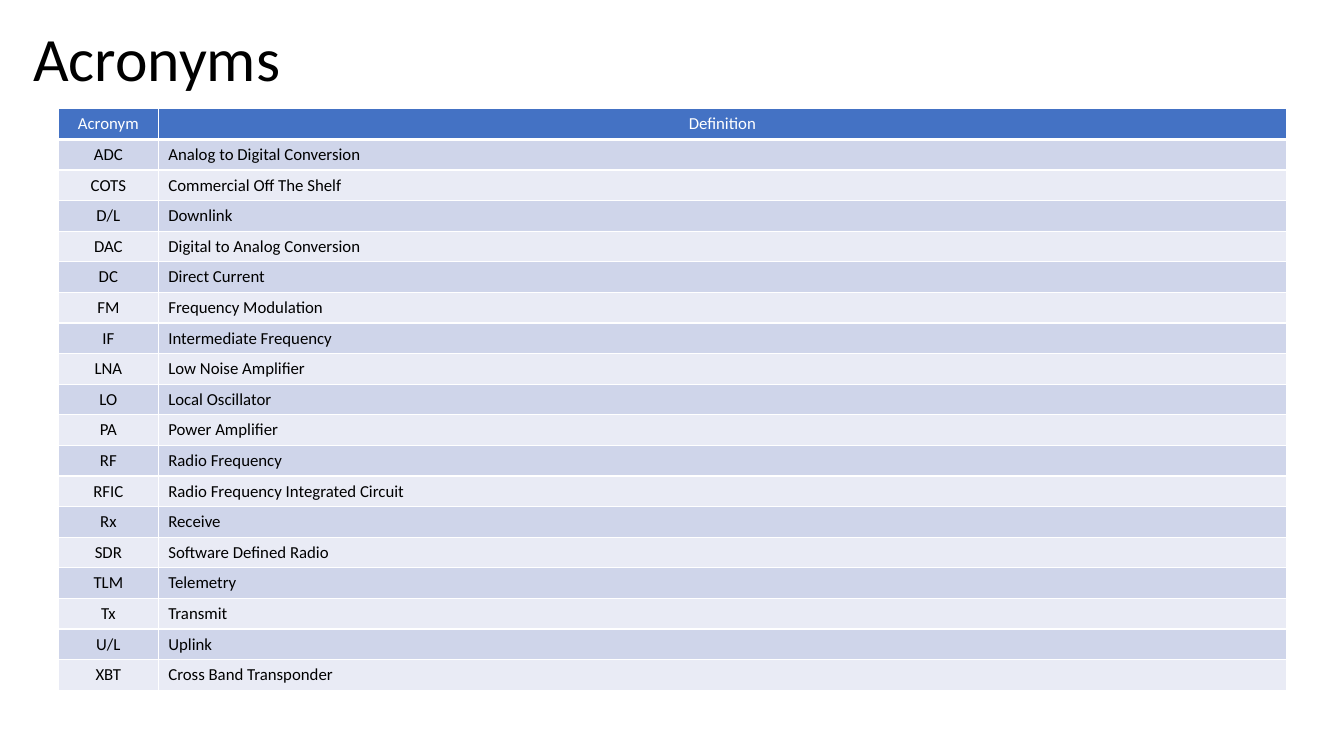
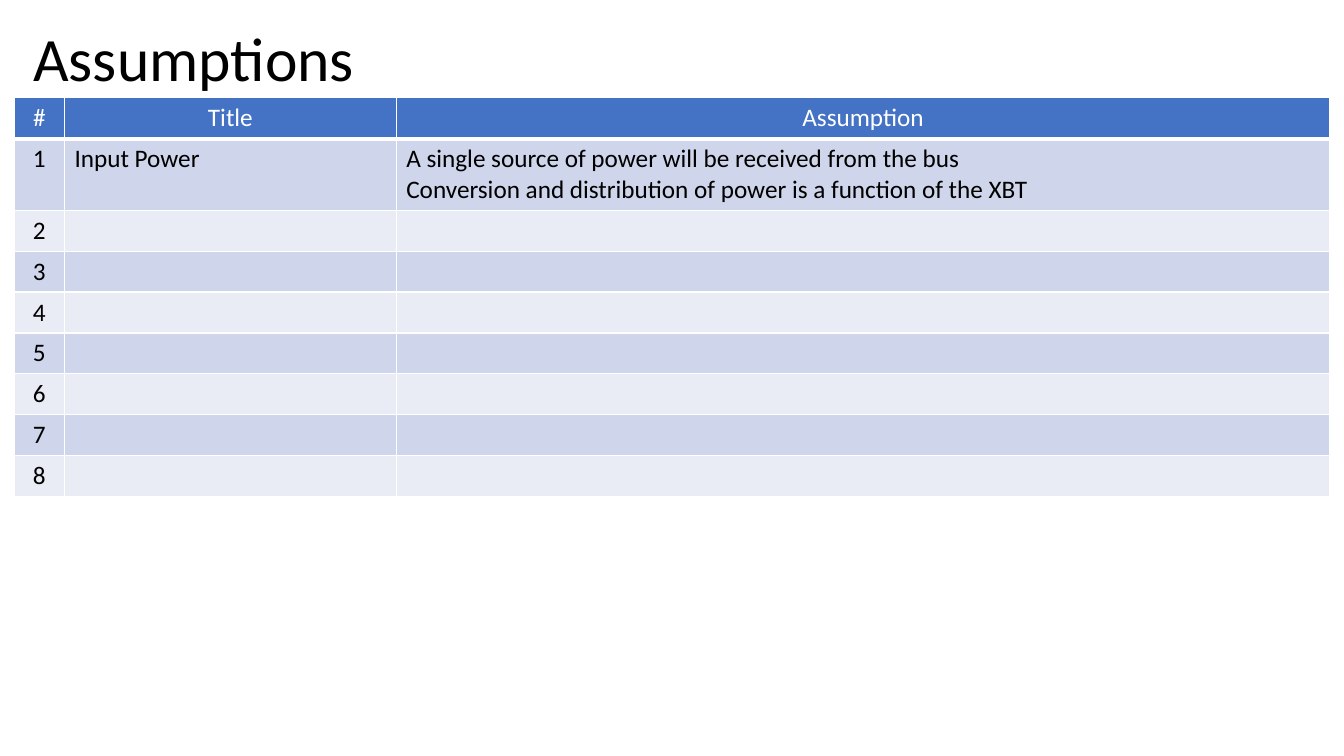
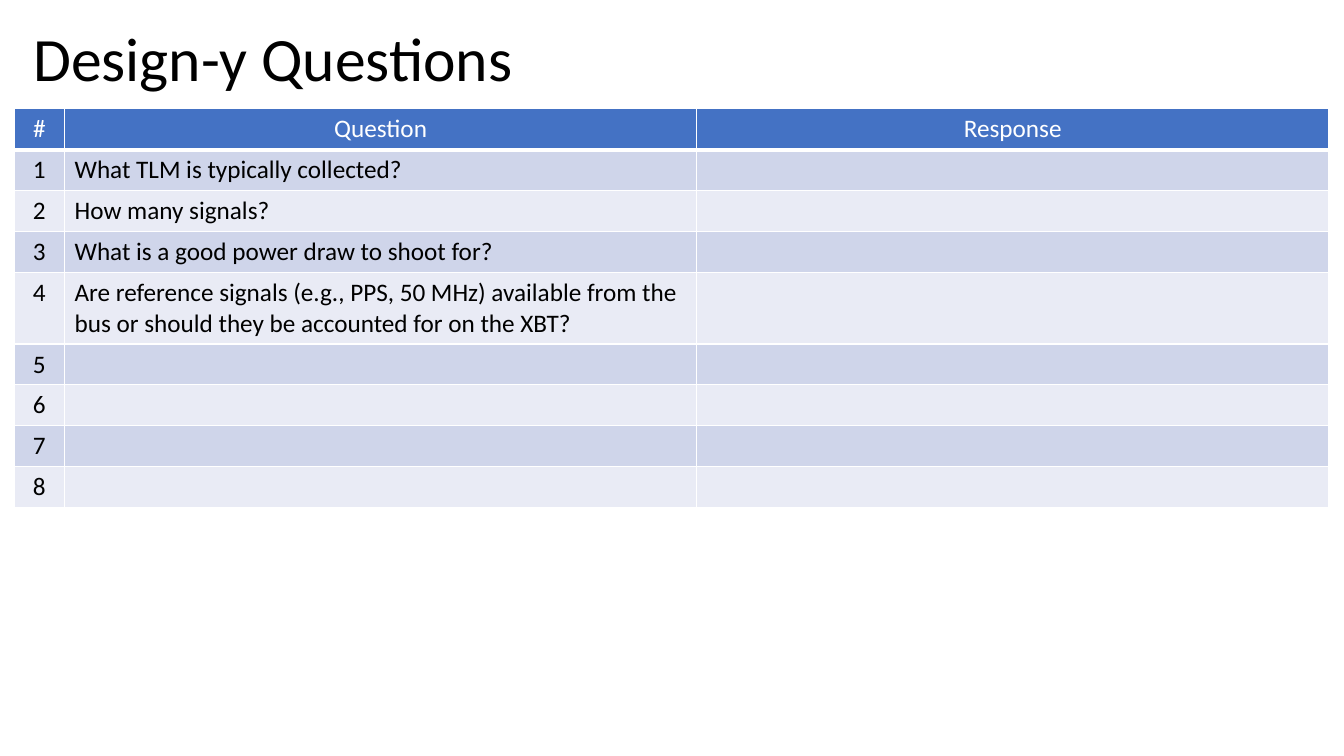
from lxml import etree
from pptx import Presentation
from pptx import util as u
from pptx.dml import color
from pptx.enum import text
from pptx.oxml import ns

FONT = "Calibri"
BLACK, WHITE = "000000", "FFFFFF"
HEADER_FILL = "4472C4"
BAND_FILLS = ("CFD5EA", "E9EBF5")


def rgb(value):
    return color.RGBColor.from_string(value)


class Deck:
    """Holds the shared style and the current slide."""

    def __init__(self):
        self.presentation = Presentation()
        self.presentation.slide_width = u.Inches(13.33)
        self.presentation.slide_height = u.Inches(7.5)
        self.slide = None

    def add_slide(self, title):
        layout = self.presentation.slide_layouts[5]
        self.slide = self.presentation.slides.add_slide(layout)
        shape = self.slide.shapes.title
        shape.left, shape.top = u.Inches(0.23), u.Inches(0.15)
        shape.width, shape.height = u.Inches(12.9), u.Inches(0.93)
        frame = shape.text_frame
        frame.word_wrap = True
        frame.vertical_anchor = text.MSO_ANCHOR.MIDDLE
        paragraph = frame.paragraphs[0]
        paragraph.alignment = text.PP_ALIGN.LEFT
        paragraph.line_spacing = 0.9
        self.add_run(paragraph, title, 44, BLACK)

    def add_run(self, paragraph, words, size, ink):
        run = paragraph.add_run()
        run.text = words
        run.font.name = FONT
        run.font.size = u.Pt(size)
        run.font.bold = False
        run.font.color.rgb = rgb(ink)

    def add_borders(self, cell, bottom):
        properties = cell._tc.get_or_add_tcPr()
        for side, points in (("L", 1), ("R", 1), ("T", 1), ("B", bottom)):
            line = etree.SubElement(properties, ns.qn(f"a:ln{side}"), w=str(u.Pt(points)))
            fill = etree.SubElement(line, ns.qn("a:solidFill"))
            etree.SubElement(fill, ns.qn("a:srgbClr"), val=WHITE)

    def fill_cell(self, cell, words, size, row, column):
        is_header = row == 0
        self.add_borders(cell, 3 if is_header else 1)
        cell.fill.solid()
        cell.fill.fore_color.rgb = rgb(HEADER_FILL if is_header else BAND_FILLS[(row - 1) % 2])
        if not words:
            return
        frame = cell.text_frame
        for index, line in enumerate(words.split("\n")):
            paragraph = frame.add_paragraph() if index else frame.paragraphs[0]
            centred = is_header or column == 0
            paragraph.alignment = text.PP_ALIGN.CENTER if centred else text.PP_ALIGN.LEFT
            self.add_run(paragraph, line, size, WHITE if is_header else BLACK)

    def add_table(self, left, top, widths, row_height, size, rows, tall_row=None):
        """The first row is the header; tall_row holds two lines of text."""
        shape = self.slide.shapes.add_table(
            len(rows), len(widths), u.Inches(left), u.Inches(top),
            u.Inches(sum(widths)), u.Inches(row_height * len(rows)))
        table = shape.table
        table.first_row = table.horz_banding = False
        for column, width in zip(table.columns, widths):
            column.width = u.Inches(width)
        for row, values in enumerate(rows):
            table.rows[row].height = u.Inches(0.71 if row == tall_row else row_height)
            for column, words in enumerate(values):
                self.fill_cell(table.cell(row, column), words, size, row, column)

    def add_numbered_table(self, top, widths, headings, entries, tall_row):
        """Eight numbered rows, left empty after the last entry."""
        blank = ("",) * len(headings)
        filled = entries + [blank] * (8 - len(entries))
        rows = [("#", *headings)]
        rows += [(str(number), *entry) for number, entry in enumerate(filled, 1)]
        self.add_table(0.14, top, widths, 0.4, 18, rows, tall_row)


ACRONYMS = [
    ("Acronym", "Definition"),
    ("ADC", "Analog to Digital Conversion"),
    ("COTS", "Commercial Off The Shelf"),
    ("D/L", "Downlink"),
    ("DAC", "Digital to Analog Conversion"),
    ("DC", "Direct Current"),
    ("FM", "Frequency Modulation"),
    ("IF", "Intermediate Frequency"),
    ("LNA", "Low Noise Amplifier"),
    ("LO", "Local Oscillator"),
    ("PA", "Power Amplifier"),
    ("RF", "Radio Frequency"),
    ("RFIC", "Radio Frequency Integrated Circuit"),
    ("Rx", "Receive"),
    ("SDR", "Software Defined Radio"),
    ("TLM", "Telemetry"),
    ("Tx", "Transmit"),
    ("U/L", "Uplink"),
    ("XBT", "Cross Band Transponder"),
]
ASSUMPTIONS = [
    ("Input Power",
     "A single source of power will be received from the bus\n"
     "Conversion and distribution of power is a function of the XBT"),
]
QUESTIONS = [
    ("What TLM is typically collected?", ""),
    ("How many signals?", ""),
    ("What is a good power draw to shoot for?", ""),
    ("Are reference signals (e.g., PPS, 50 MHz) available from the bus "
     "or should they be accounted for on the XBT?", ""),
]


def main():
    deck = Deck()

    # Acronyms
    deck.add_slide("Acronyms")
    deck.add_table(0.58, 1.08, (0.99, 11.19), 0.3, 12, ACRONYMS)

    # Assumptions
    deck.add_slide("Assumptions")
    deck.add_numbered_table(0.97, (0.5, 3.29, 9.26), ("Title", "Assumption"), ASSUMPTIONS, 1)

    # Design questions
    deck.add_slide("Design-y Questions")
    deck.add_numbered_table(1.08, (0.5, 6.27, 6.27), ("Question", "Response"), QUESTIONS, 4)

    deck.presentation.save("out.pptx")


if __name__ == "__main__":
    main()
